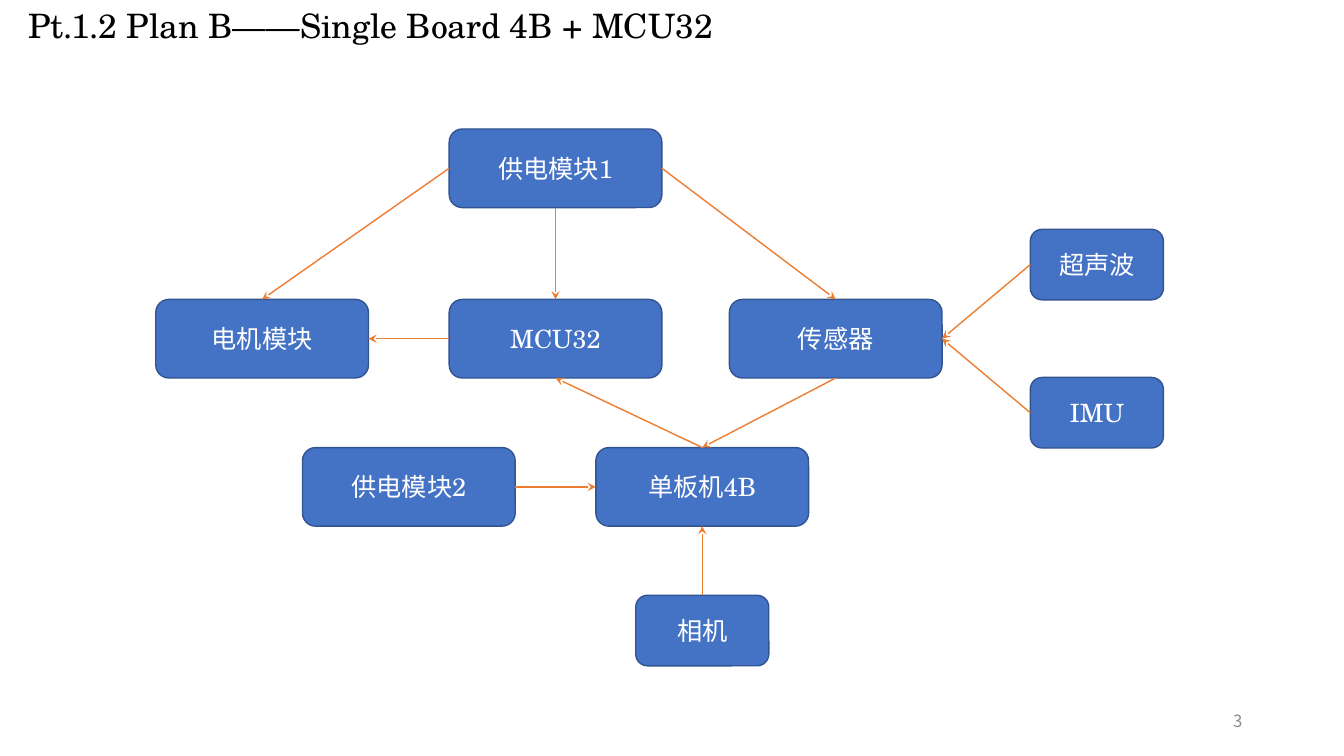
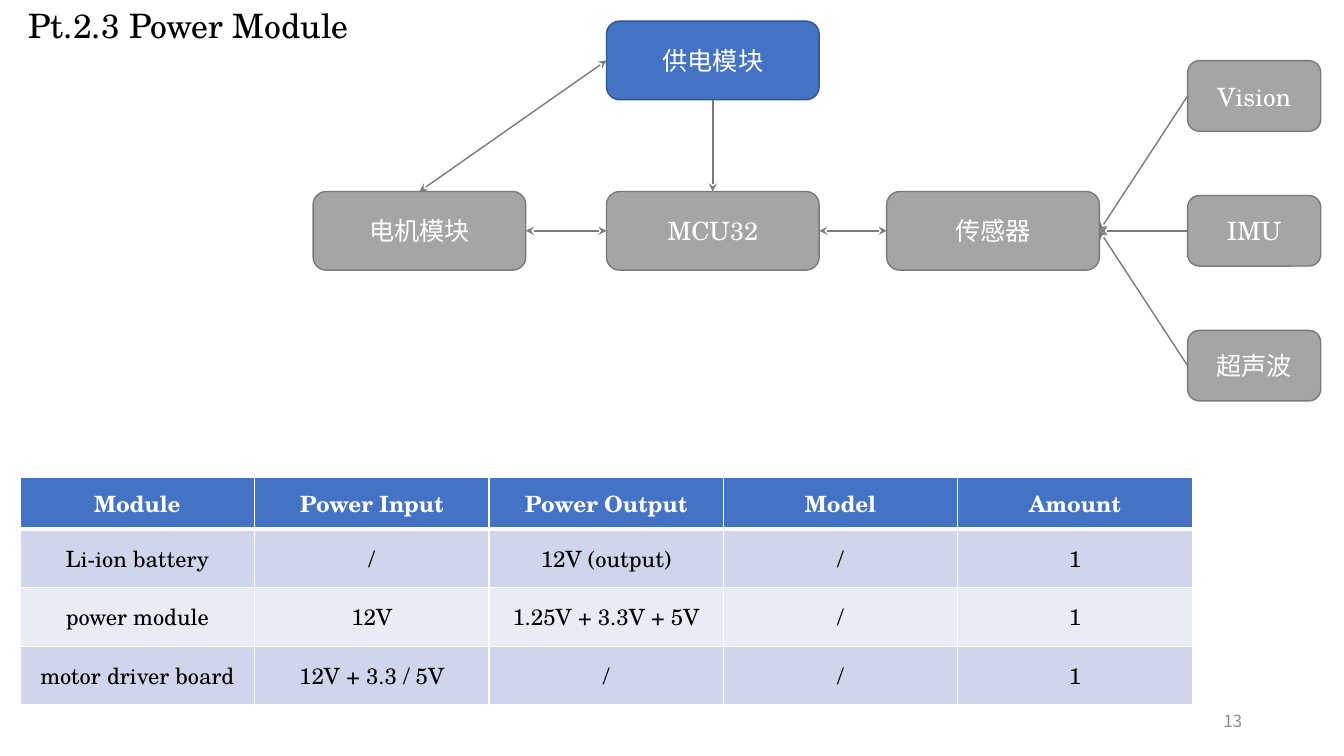
from dataclasses import dataclass
from enum import IntEnum
from typing import NamedTuple

from lxml.etree import SubElement
from pptx import Presentation
from pptx.dml.color import RGBColor as Rgb
from pptx.enum.shapes import MSO_CONNECTOR as Line, MSO_SHAPE as Shape
from pptx.enum.text import MSO_ANCHOR as Anchor, PP_ALIGN as Align
from pptx.oxml import parse_xml
from pptx.oxml.ns import nsdecls, qn
from pptx.util import Inches, Pt


@dataclass(frozen=True)
class Theme:
    serif: str = "TeX Gyre Schola"
    sans: str = "Noto Sans CJK SC"
    black: str = "000000"
    white: str = "FFFFFF"
    blue: str = "4472C4"
    blue_edge: str = "325491"
    gray: str = "A5A5A5"
    gray_edge: str = "7A7A7A"
    orange: str = "ED7D31"
    page_number: str = "8C8C8C"
    bands: tuple[str, str] = ("CFD5EA", "E9EBF5")
    title_size: int = 24
    node_size: int = 18
    table_size: int = 16
    footer_size: int = 12


THEME = Theme()
SLIDE_W, SLIDE_H = 13.33, 7.5

# Diagram grid: pitches in inches, positions counted from the controller
COL, ROW = 2.91, 1.47
LARGE, SMALL = (2.11, 0.78), (1.32, 0.7)
SENSOR_COL, DEVICE_COL = 0.955, 1.845
POWER_ROW, CAMERA_ROW = -1.15, 1.97


class Side(IntEnum):
    TOP = 0
    LEFT = 1
    BOTTOM = 2
    RIGHT = 3


class Node(NamedTuple):
    label: str
    col: float
    row: float
    size: tuple[float, float] = LARGE
    muted: bool = False


class Arrow(NamedTuple):
    start: str
    start_side: Side
    end: str
    end_side: Side
    both_ways: bool = False


@dataclass(frozen=True)
class Diagram:
    origin: tuple[float, float]
    arrow_color: str
    nodes: dict[str, Node]
    arrows: list[Arrow]


@dataclass(frozen=True)
class Page:
    title: str
    number: int
    diagram: Diagram
    rows: tuple[tuple[str, ...], ...] = ()


def write(frame, text: str, *, size: int, color: str, font: str = THEME.serif,
          bold: bool = False, align=Align.LEFT, anchor=Anchor.TOP) -> None:
    frame.word_wrap = True
    frame.vertical_anchor = anchor
    paragraph = frame.paragraphs[0]
    paragraph.alignment = align
    run = paragraph.add_run()
    run.text = text
    run.font.name, run.font.size, run.font.bold = font, Pt(size), bold
    run.font.color.rgb = Rgb.from_string(color)
    SubElement(run.font._element, qn("a:ea"), typeface=THEME.sans)


def add_node(slide, node: Node, origin: tuple[float, float]):
    width, height = node.size
    left = origin[0] + node.col * COL - width / 2
    top = origin[1] + node.row * ROW - height / 2
    box = slide.shapes.add_shape(Shape.ROUNDED_RECTANGLE, Inches(left), Inches(top),
                                 Inches(width), Inches(height))
    box.shadow.inherit = False
    fill, edge = ((THEME.gray, THEME.gray_edge) if node.muted
                  else (THEME.blue, THEME.blue_edge))
    box.fill.solid()
    box.fill.fore_color.rgb = Rgb.from_string(fill)
    box.line.color.rgb = Rgb.from_string(edge)
    box.line.width = Pt(1)
    write(box.text_frame, node.label, size=THEME.node_size, color=THEME.white,
          align=Align.CENTER, anchor=Anchor.MIDDLE)
    return box


def add_arrow(slide, arrow: Arrow, boxes: dict, color: str) -> None:
    link = slide.shapes.add_connector(Line.STRAIGHT, 0, 0, 0, 0)
    link.begin_connect(boxes[arrow.start], arrow.start_side)
    link.end_connect(boxes[arrow.end], arrow.end_side)
    link.line.color.rgb = Rgb.from_string(color)
    link.line.width = Pt(1)
    outline = link.line._get_or_add_ln()
    for end in ("a:headEnd", "a:tailEnd") if arrow.both_ways else ("a:tailEnd",):
        SubElement(outline, qn(end), type="stealth")
    SubElement(link._element.spPr, qn("a:effectLst"))


def add_diagram(slide, diagram: Diagram) -> None:
    boxes = {key: add_node(slide, node, diagram.origin)
             for key, node in diagram.nodes.items()}
    for arrow in diagram.arrows:
        add_arrow(slide, arrow, boxes, diagram.arrow_color)


def set_borders(cell, **widths: float) -> None:
    props = cell._tc.get_or_add_tcPr()
    for place, side in enumerate("LRTB"):
        props.insert(place, parse_xml(
            f'<a:ln{side} {nsdecls("a")} w="{Pt(widths.get(side, 1))}"><a:solidFill>'
            f'<a:srgbClr val="{THEME.white}"/></a:solidFill></a:ln{side}>'))


def add_parts_table(slide, rows: tuple[tuple[str, ...], ...]) -> None:
    heights = [0.51] + [0.58] * (len(rows) - 1)
    col_width = 2.325
    table = slide.shapes.add_table(
        len(rows), len(rows[0]), Inches(0.2), Inches(4.74),
        Inches(col_width * len(rows[0])), Inches(sum(heights))).table
    for column in table.columns:
        column.width = Inches(col_width)
    for r, (texts, height) in enumerate(zip(rows, heights)):
        table.rows[r].height = Inches(height)
        header = r == 0
        fill = THEME.blue if header else THEME.bands[(r - 1) % 2]
        for c, text in enumerate(texts):
            cell = table.cell(r, c)
            cell.fill.solid()
            cell.fill.fore_color.rgb = Rgb.from_string(fill)
            set_borders(cell, T=3 if r == 1 else 1, B=3 if header else 1)
            write(cell.text_frame, text, size=THEME.table_size, bold=header,
                  color=THEME.white if header else THEME.black, align=Align.CENTER)
            cell.vertical_anchor = Anchor.MIDDLE


def add_label(slide, text: str, left: float, top: float, width: float, height: float,
              *, inset: float = 0.1, **style) -> None:
    label = slide.shapes.add_textbox(Inches(left), Inches(top),
                                     Inches(width), Inches(height))
    label.text_frame.margin_left = Inches(inset)
    write(label.text_frame, text, **style)


def add_page(deck, page: Page) -> None:
    slide = deck.slides.add_slide(deck.slide_layouts[6])
    add_diagram(slide, page.diagram)
    add_label(slide, page.title, 0, 0, 8.29, 0.5, inset=0.28,
              size=THEME.title_size, color=THEME.black)
    if page.rows:
        add_parts_table(slide, page.rows)
    add_label(slide, str(page.number), 9.42, 6.95, 3, 0.4, size=THEME.footer_size,
              color=THEME.page_number, font=THEME.sans, align=Align.RIGHT,
              anchor=Anchor.MIDDLE)


# Content
PLAN_B = Diagram(
    origin=(5.51, 3.36),
    arrow_color=THEME.orange,
    nodes={
        "controller": Node("MCU32", 0, 0),
        "motor": Node("电机模块", -1, 0),
        "power1": Node("供电模块1", 0, POWER_ROW),
        "ultrasonic": Node("超声波", DEVICE_COL, -0.5, SMALL),
        "imu": Node("IMU", DEVICE_COL, 0.5, SMALL),
        "camera": Node("相机", 0.5, CAMERA_ROW, SMALL),
        "sensor": Node("传感器", SENSOR_COL, 0),
        "power2": Node("供电模块2", -0.5, 1),
        "board": Node("单板机4B", 0.5, 1),
    },
    arrows=[
        Arrow("power1", Side.LEFT, "motor", Side.TOP),
        Arrow("power1", Side.BOTTOM, "controller", Side.TOP),
        Arrow("power1", Side.RIGHT, "sensor", Side.TOP),
        Arrow("controller", Side.LEFT, "motor", Side.RIGHT),
        Arrow("ultrasonic", Side.LEFT, "sensor", Side.RIGHT),
        Arrow("imu", Side.LEFT, "sensor", Side.RIGHT),
        Arrow("camera", Side.TOP, "board", Side.BOTTOM),
        Arrow("power2", Side.RIGHT, "board", Side.LEFT),
        Arrow("sensor", Side.BOTTOM, "board", Side.TOP),
        Arrow("board", Side.TOP, "controller", Side.BOTTOM),
    ],
)

POWER = Diagram(
    origin=(7.07, 2.29),
    arrow_color=THEME.gray_edge,
    nodes={
        "controller": Node("MCU32", 0, 0, muted=True),
        "motor": Node("电机模块", -1, 0, muted=True),
        "power": Node("供电模块", 0, POWER_ROW),
        "vision": Node("Vision", DEVICE_COL, -0.91, SMALL, muted=True),
        "imu": Node("IMU", DEVICE_COL, 0, SMALL, muted=True),
        "ultrasonic": Node("超声波", DEVICE_COL, 0.91, SMALL, muted=True),
        "sensor": Node("传感器", SENSOR_COL, 0, muted=True),
    },
    arrows=[
        Arrow("power", Side.LEFT, "motor", Side.TOP, both_ways=True),
        Arrow("power", Side.BOTTOM, "controller", Side.TOP),
        Arrow("controller", Side.LEFT, "motor", Side.RIGHT, both_ways=True),
        Arrow("controller", Side.RIGHT, "sensor", Side.LEFT, both_ways=True),
        *(Arrow(device, Side.LEFT, "sensor", Side.RIGHT)
          for device in ("vision", "imu", "ultrasonic")),
    ],
)

POWER_PARTS = (
    ("Module", "Power Input", "Power Output", "Model", "Amount"),
    ("Li-ion battery", "/", "12V (output)", "/", "1"),
    ("power module", "12V", "1.25V + 3.3V + 5V", "/", "1"),
    ("motor driver board", "12V + 3.3 / 5V", "/", "/", "1"),
)

PAGES = (
    Page("Pt.1.2 Plan B——Single Board 4B + MCU32", 3, PLAN_B),
    Page("Pt.2.3 Power Module", 13, POWER, POWER_PARTS),
)


def main() -> None:
    deck = Presentation()
    deck.slide_width, deck.slide_height = Inches(SLIDE_W), Inches(SLIDE_H)
    for page in PAGES:
        add_page(deck, page)
    deck.save("out.pptx")


if __name__ == "__main__":
    main()
